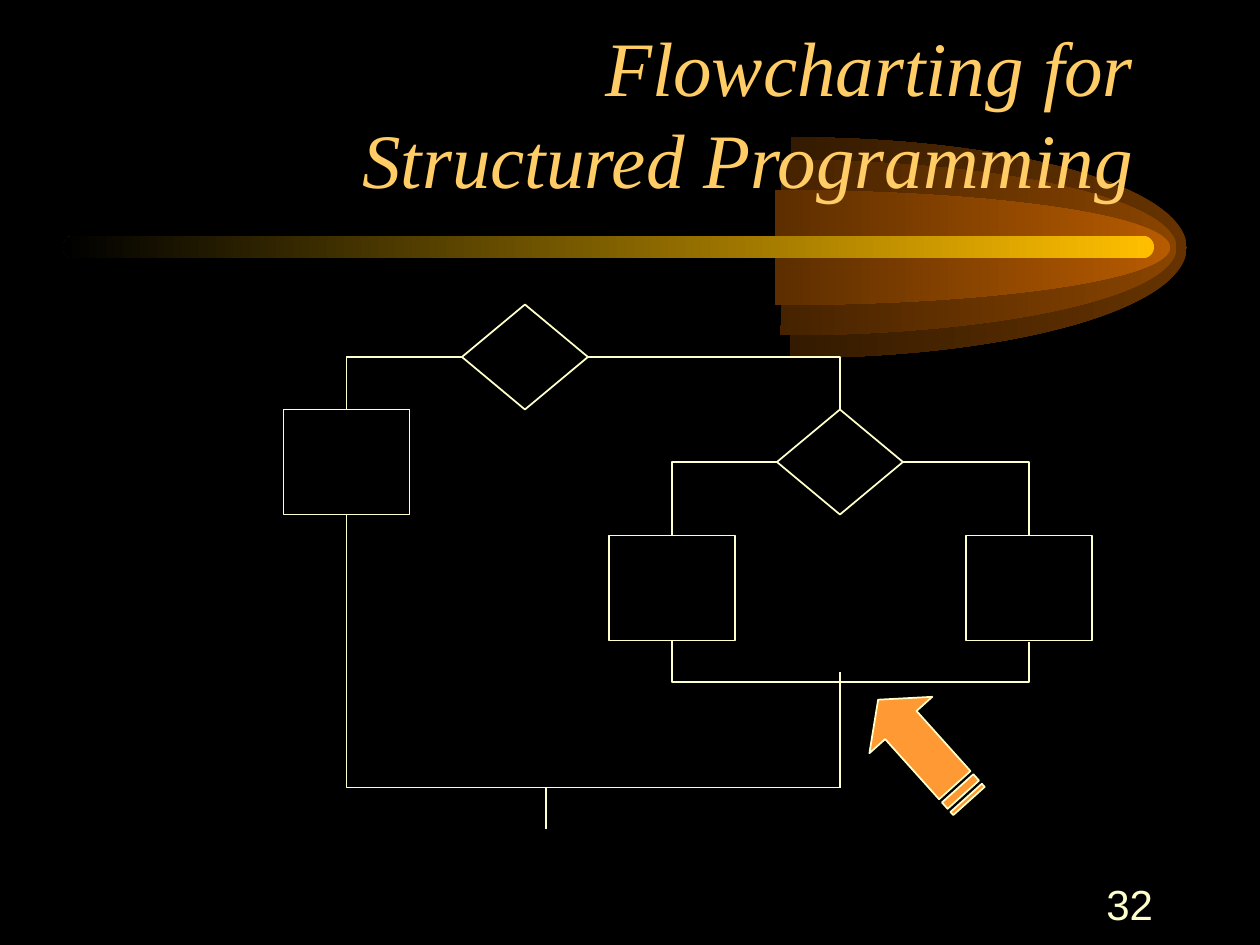
from dataclasses import dataclass

from lxml import etree
from pptx import Presentation
from pptx.dml.color import RGBColor
from pptx.enum.shapes import MSO_CONNECTOR as CONNECTOR, MSO_SHAPE as SHAPE
from pptx.enum.text import MSO_ANCHOR as ANCHOR, PP_ALIGN as ALIGN
from pptx.oxml.ns import qn
from pptx.util import Inches, Pt

BLACK = RGBColor(0x00, 0x00, 0x00)
CREAM = RGBColor(0xFF, 0xFF, 0xCC)
TITLE_GOLD = RGBColor(0xFF, 0xCC, 0x66)
BAR_GOLD = RGBColor(0xFF, 0xBF, 0x00)
ORANGE = RGBColor(0xFF, 0x99, 0x33)

# Comet arcs: left, top, height, color at the tip
COMET_WIDTH = 6.26
COMET_ARCS = [
    (3.16, 1.09, 1.75, RGBColor(0x66, 0x33, 0x00)),
    (3.08, 1.27, 1.39, RGBColor(0x89, 0x44, 0x00)),
    (3.03, 1.51, 0.91, RGBColor(0xB7, 0x5B, 0x00)),
]
ARC_START, ARC_END = 269.6, 91
ARC_UNITS_PER_DEGREE = 0.6

# The flowchart sits on a grid of twelfths of an inch
GRID = 1 / 12
NODE_WIDTH, NODE_HEIGHT = 12, 10
NODES = [
    (SHAPE.DIAMOND, 44, 29),
    (SHAPE.RECTANGLE, 58, 51),
    (SHAPE.DIAMOND, 74, 39),
    (SHAPE.RECTANGLE, 27, 39),
    (SHAPE.RECTANGLE, 92, 51),
]
BRANCHES = [
    ((44, 34), (33, 39)),
    ((56, 34), (80, 39)),
    ((74, 44), (64, 51)),
    ((86, 44), (98, 51)),
]
STRAIGHT_LINES = [((80, 75), (80, 64)), ((52, 75), (52, 79))]

# Striped arrow pointing right, as fractions of its width and height
ARROW_PARTS = [
    [(5 / 32, 0.25), (0.75, 0.25), (0.75, 0), (1, 0.5), (0.75, 1), (0.75, 0.75),
     (5 / 32, 0.75)],
    [(0, 0.25), (1 / 32, 0.25), (1 / 32, 0.75), (0, 0.75)],
    [(2 / 32, 0.25), (4 / 32, 0.25), (4 / 32, 0.75), (2 / 32, 0.75)],
]


@dataclass
class SlideBuilder:
    slide: object
    line_color: RGBColor = CREAM
    line_width: float = 1

    def background(self, color):
        fill = self.slide.background.fill
        fill.solid()
        fill.fore_color.rgb = color

    def outline(self, item):
        item.line.color.rgb = self.line_color
        item.line.width = Pt(self.line_width)

    def shape(self, kind, left, top, width, height):
        shape = self.slide.shapes.add_shape(
            kind, Inches(left), Inches(top), Inches(width), Inches(height)
        )
        shape.shadow.inherit = False
        shape.fill.background()
        self.outline(shape)
        return shape

    def faded_shape(self, kind, left, top, width, height, color, adjustments):
        """Add a borderless shape that fades from color at the right to black."""
        shape = self.shape(kind, left, top, width, height)
        for index, value in enumerate(adjustments):
            shape.adjustments[index] = value
        shape.line.fill.background()
        shape.fill.gradient()
        shape.fill.gradient_angle = 180
        for stop, stop_color in zip(shape.fill.gradient_stops, (color, BLACK)):
            stop.color.rgb = stop_color

    def striped_arrow(self, left, top, width, height, rotation, color):
        parts = [
            [(Inches(left + x * width), Inches(top + y * height)) for x, y in part]
            for part in ARROW_PARTS
        ]
        builder = self.slide.shapes.build_freeform(*parts[0][0])
        for index, points in enumerate(parts):
            if index:
                builder.move_to(*points[0])
            builder.add_line_segments(points[1:], close=True)
        arrow = builder.convert_to_shape()
        arrow.shadow.inherit = False
        arrow.rotation = rotation
        arrow.fill.solid()
        arrow.fill.fore_color.rgb = color
        self.outline(arrow)

    def connector(self, start, end, kind=CONNECTOR.STRAIGHT):
        connector = self.slide.shapes.add_connector(
            kind, *(Inches(value * GRID) for value in (*start, *end))
        )
        self.outline(connector)
        etree.SubElement(connector._element.spPr, qn("a:effectLst"))
        return connector

    def elbow(self, start, end):
        """Connect two points sideways first, with a single right-angle turn."""
        connector = self.connector(start, end, CONNECTOR.ELBOW)
        connector._element.spPr.find(qn("a:prstGeom")).set("prst", "bentConnector2")
        return connector

    def turned(self, add, start, end):
        """Add a bent connector that leaves its start downward."""
        center_x, center_y = (start[0] + end[0]) / 2, (start[1] + end[1]) / 2
        half_x, half_y = (end[0] - start[0]) / 2, (end[1] - start[1]) / 2
        connector = add((center_x + half_y, center_y - half_x),
                        (center_x - half_y, center_y + half_x))
        connector._element.spPr.find(qn("a:xfrm")).set("rot", "16200000")
        return connector

    def bracket(self, start, end, depth):
        """Join two points by a U that reaches depth below the start."""
        connector = self.turned(
            lambda begin, finish: self.connector(begin, finish, CONNECTOR.ELBOW), start, end
        )
        guides = connector._element.spPr.find(qn("a:prstGeom")).find(qn("a:avLst"))
        ratio = round(depth / (end[1] - start[1]) * 100000)
        etree.SubElement(guides, qn("a:gd"), name="adj1", fmla=f"val {ratio}")

    def text(self, lines, left, top, width, height, anchor, font_name, size, color,
             italic=False):
        box = self.slide.shapes.add_textbox(
            Inches(left), Inches(top), Inches(width), Inches(height)
        )
        frame = box.text_frame
        frame.word_wrap = True
        frame.vertical_anchor = anchor
        paragraph = frame.paragraphs[0]
        paragraph.alignment = ALIGN.RIGHT
        for index, line in enumerate(lines):
            if index:
                paragraph.add_line_break()
            run = paragraph.add_run()
            run.text = line
            run.font.name = font_name
            run.font.size = Pt(size)
            run.font.italic = italic
            run.font.color.rgb = color


def main():
    presentation = Presentation()
    presentation.slide_width = Inches(10)
    presentation.slide_height = Inches(7.5)
    builder = SlideBuilder(presentation.slides.add_slide(presentation.slide_layouts[6]))

    builder.background(BLACK)
    arc_angles = [angle * ARC_UNITS_PER_DEGREE for angle in (ARC_START, ARC_END)]
    for left, top, height, color in COMET_ARCS:
        builder.faded_shape(SHAPE.ARC, left, top, COMET_WIDTH, height, color, arc_angles)
    builder.faded_shape(SHAPE.ROUNDED_RECTANGLE, 0.5, 1.87, 8.66, 0.18, BAR_GOLD, [0.5])
    builder.text(["Flowcharting for ", "Structured Programming "], 0.75, 5 * GRID, 8.5, 1.25,
                 ANCHOR.BOTTOM, "Times New Roman", 44, TITLE_GOLD, italic=True)

    for kind, column, row in NODES:
        builder.shape(kind, column * GRID, row * GRID, NODE_WIDTH * GRID, NODE_HEIGHT * GRID)
    for start, end in BRANCHES:
        builder.elbow(start, end)
    builder.bracket((64, 61), (98, 61.1), 4)
    builder.turned(builder.elbow, (33, 49), (80, 75))
    for start, end in STRAIGHT_LINES:
        builder.connector(start, end)

    builder.striped_arrow(6.79, 5.62, 1.08, 0.67, 228.1, ORANGE)
    builder.text(["32"], 7.17, 6.92, 2.08, 0.5, ANCHOR.MIDDLE, "Arial", 24, CREAM)
    presentation.save("out.pptx")


if __name__ == "__main__":
    main()
